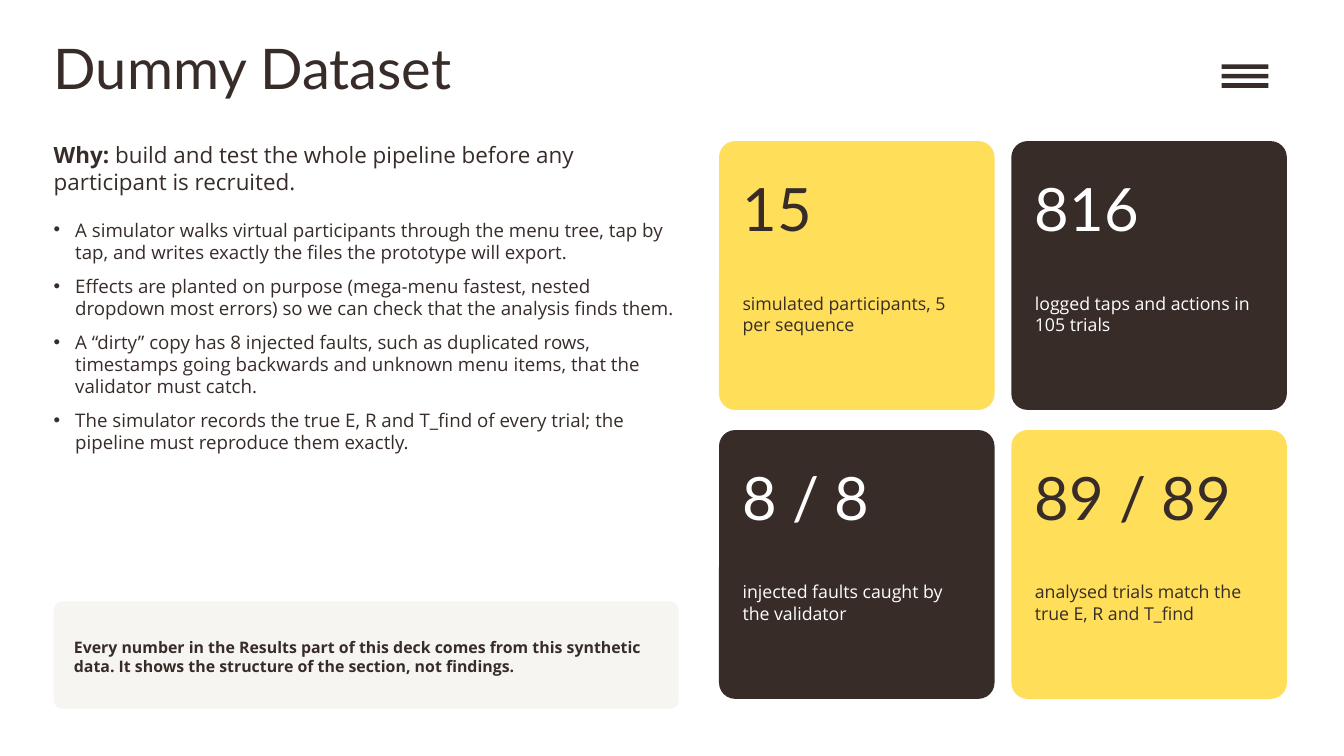
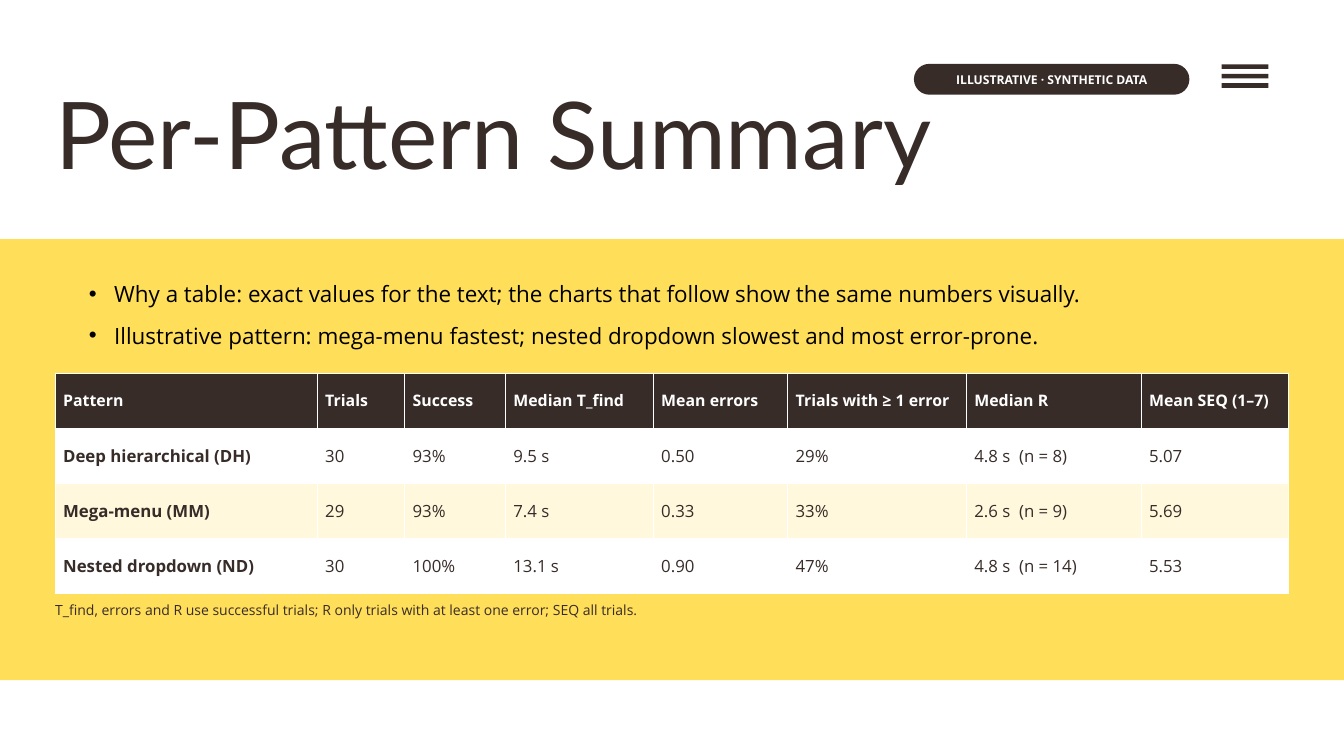
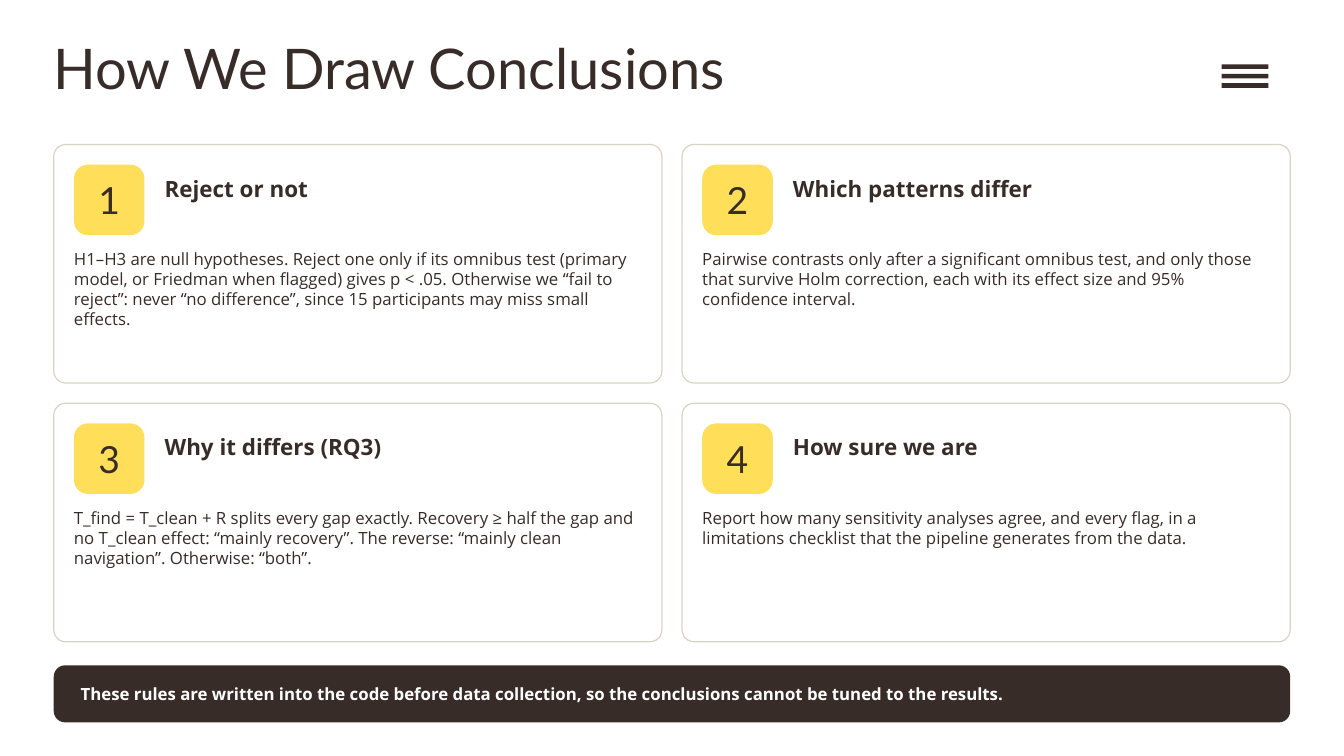
from dataclasses import dataclass
from typing import NamedTuple

from lxml.etree import SubElement
from pptx import Presentation
from pptx.dml.color import RGBColor
from pptx.enum.shapes import MSO_SHAPE
from pptx.enum.text import MSO_ANCHOR, MSO_AUTO_SIZE, PP_ALIGN
from pptx.oxml.ns import qn
from pptx.util import Pt

COLORS = {
    "ink": "382C29",
    "yellow": "FFDE59",
    "cream": "FFF8DD",
    "note": "F7F5F1",
    "outline": "D9D2C5",
    "white": "FFFFFF",
    "black": "000000",
}
HEADING_FONT = "Lato"
BODY_FONT = "Open Sans"
PAGE_WIDTH, PAGE_HEIGHT = 1440, 810
MARGIN = 57.6


class Area(NamedTuple):
    left: float
    top: float
    width: float
    height: float

    def points(self) -> list:
        return [Pt(value) for value in self]

    def inner(self, left: float, top: float, width: float, height: float) -> "Area":
        """Area placed relative to this one's top left corner."""
        return Area(self.left + left, self.top + top, width, height)

    def grid_cell(self, index: int, gap_x: float, gap_y: float) -> "Area":
        """Cell of a two-column grid whose first cell is this area."""
        row, column = divmod(index, 2)
        return self.inner(column * (self.width + gap_x), row * (self.height + gap_y),
                          self.width, self.height)


@dataclass(frozen=True)
class Stat:
    number: str
    label: str
    fill: str
    color: str


@dataclass(frozen=True)
class Rule:
    heading: str
    body: str


STATS = [
    Stat("15", "simulated participants, 5 per sequence", "yellow", "ink"),
    Stat("816", "logged taps and actions in 105 trials", "ink", "white"),
    Stat("8 / 8", "injected faults caught by the validator", "ink", "white"),
    Stat("89 / 89", "analysed trials match the true E, R and T_find", "yellow", "ink"),
]

SIMULATOR_POINTS = [
    "A simulator walks virtual participants through the menu tree, tap by tap, "
    "and writes exactly the files the prototype will export.",
    "Effects are planted on purpose (mega-menu fastest, nested dropdown most errors) "
    "so we can check that the analysis finds them.",
    "A “dirty” copy has 8 injected faults, such as duplicated rows, timestamps going "
    "backwards and unknown menu items, that the validator must catch.",
    "The simulator records the true E, R and T_find of every trial; "
    "the pipeline must reproduce them exactly.",
]

SUMMARY_POINTS = [
    "Why a table: exact values for the text; the charts that follow show the same "
    "numbers visually.",
    "Illustrative pattern: mega-menu fastest; nested dropdown slowest and most error-prone.",
]

SUMMARY_WIDTHS = [280.8, 93.6, 108, 158.4, 144, 191.52, 187.2, 158.4]
SUMMARY_ROWS = [
    ["Pattern", "Trials", "Success", "Median T_find", "Mean errors",
     "Trials with ≥ 1 error", "Median R", "Mean SEQ (1–7)"],
    ["Deep hierarchical (DH)", "30", "93%", "9.5 s", "0.50", "29%", "4.8 s  (n = 8)", "5.07"],
    ["Mega-menu (MM)", "29", "93%", "7.4 s", "0.33", "33%", "2.6 s  (n = 9)", "5.69"],
    ["Nested dropdown (ND)", "30", "100%", "13.1 s", "0.90", "47%", "4.8 s  (n = 14)", "5.53"],
]

RULES = [
    Rule("Reject or not",
         "H1–H3 are null hypotheses. Reject one only if its omnibus test (primary model, or "
         "Friedman when flagged) gives p < .05. Otherwise we “fail to reject”: never “no "
         "difference”, since 15 participants may miss small effects."),
    Rule("Which patterns differ",
         "Pairwise contrasts only after a significant omnibus test, and only those that survive "
         "Holm correction, each with its effect size and 95% confidence interval."),
    Rule("Why it differs (RQ3)",
         "T_find = T_clean + R splits every gap exactly. Recovery ≥ half the gap and no T_clean "
         "effect: “mainly recovery”. The reverse: “mainly clean navigation”. Otherwise: “both”."),
    Rule("How sure we are",
         "Report how many sensitivity analyses agree, and every flag, in a limitations checklist "
         "that the pipeline generates from the data."),
]


# Shared drawing functions

def rgb(name: str) -> RGBColor:
    return RGBColor.from_string(COLORS[name])


def add_bullet(para, left: float, hanging: float) -> None:
    properties = para._p.get_or_add_pPr()
    properties.set("marL", str(Pt(left)))
    properties.set("indent", str(-Pt(hanging)))
    SubElement(properties, qn("a:buFont"), typeface="Arial")
    SubElement(properties, qn("a:buChar"), char="•")


def write_text(frame, *texts: str, size: float, color: str = "ink", font: str = BODY_FONT,
               bold: bool = False, lead: str = "", align=PP_ALIGN.LEFT, after: float = 6,
               line: float | None = None, bullet: tuple[float, float] | None = None) -> None:
    """Write one paragraph per text; lead is a bold opening of the first."""
    for index, text in enumerate(texts):
        para = frame.paragraphs[0] if index == 0 else frame.add_paragraph()
        if bullet:
            add_bullet(para, *bullet)
        para.alignment = align
        para.space_before = Pt(0)
        para.space_after = Pt(after)
        if line:
            para.line_spacing = Pt(line)
        spans = [(text, bold)]
        if lead and index == 0:
            spans.insert(0, (lead, True))
        for words, is_bold in spans:
            span = para.add_run()
            span.text = words
            span.font.name = font
            span.font.size = Pt(size)
            span.font.bold = is_bold
            span.font.color.rgb = rgb(color)


def prepare_frame(frame, anchor=MSO_ANCHOR.TOP, side: float = 0, end: float = 0) -> None:
    frame.word_wrap = True
    frame.auto_size = MSO_AUTO_SIZE.NONE
    frame.vertical_anchor = anchor
    frame.margin_left = frame.margin_right = Pt(side)
    frame.margin_top = frame.margin_bottom = Pt(end)


def add_text(page, area: Area, *texts: str, anchor=MSO_ANCHOR.TOP, **text_format) -> None:
    box = page.shapes.add_textbox(*area.points())
    prepare_frame(box.text_frame, anchor)
    write_text(box.text_frame, *texts, **text_format)


def add_block(page, area: Area, fill: str, corner: float = 0, outline: str | None = None):
    kind = MSO_SHAPE.ROUNDED_RECTANGLE if corner else MSO_SHAPE.RECTANGLE
    block = page.shapes.add_shape(kind, *area.points())
    if corner:
        block.adjustments[0] = corner
    block.shadow.inherit = False
    block.fill.solid()
    block.fill.fore_color.rgb = rgb(fill)
    if outline:
        block.line.color.rgb = rgb(outline)
        block.line.width = Pt(1.25)
    else:
        block.line.fill.background()
    return block


def add_label(page, area: Area, text: str, fill: str, corner: float, side: float = 0,
              **text_format) -> None:
    """Rounded block with its text in the middle."""
    frame = add_block(page, area, fill, corner).text_frame
    prepare_frame(frame, MSO_ANCHOR.MIDDLE, side, 4.32)
    write_text(frame, text, align=PP_ALIGN.CENTER, after=2, **text_format)


def add_page(deck, title: str, area: Area = Area(MARGIN, 36, 1188, 97.2),
             size: float = 60, line: float | None = None):
    """Title-only slide with the menu icon in the top right corner."""
    page = deck.slides.add_slide(deck.slide_layouts[5])
    heading = page.shapes.title
    heading.left, heading.top, heading.width, heading.height = area.points()
    prepare_frame(heading.text_frame)
    write_text(heading.text_frame, title, size=size, font=HEADING_FONT, after=0, line=line)
    for index in range(3):
        add_block(page, Area(1309, 69 + 10.1 * index, 50, 5), "ink")
    return page


def add_borders(cell, color: str, width: float) -> None:
    properties = cell._tc.get_or_add_tcPr()
    for index, side in enumerate(("a:lnL", "a:lnR", "a:lnT", "a:lnB")):
        border = properties.makeelement(qn(side), {"w": str(Pt(width))})
        fill = SubElement(border, qn("a:solidFill"))
        SubElement(fill, qn("a:srgbClr"), val=COLORS[color])
        properties.insert(index, border)


def add_summary_table(page, left: float, top: float, row_height: float) -> None:
    area = Area(left, top, sum(SUMMARY_WIDTHS), row_height * len(SUMMARY_ROWS))
    table = page.shapes.add_table(len(SUMMARY_ROWS), len(SUMMARY_WIDTHS), *area.points()).table
    for column, width in zip(table.columns, SUMMARY_WIDTHS):
        column.width = Pt(width)
    for row_index, values in enumerate(SUMMARY_ROWS):
        table.rows[row_index].height = Pt(row_height)
        is_header = row_index == 0
        fill = "ink" if is_header else ("cream" if row_index % 2 == 0 else "white")
        for column_index, value in enumerate(values):
            cell = table.cell(row_index, column_index)
            cell.fill.solid()
            cell.fill.fore_color.rgb = rgb(fill)
            cell.vertical_anchor = MSO_ANCHOR.MIDDLE
            cell.margin_left = cell.margin_right = Pt(8.64)
            cell.margin_top = cell.margin_bottom = Pt(3.6)
            write_text(cell.text_frame, value, size=17 if is_header else 18, after=0,
                       color="white" if is_header else "ink",
                       bold=is_header or column_index == 0)
            add_borders(cell, "white", 1)


# Slides

def build_dataset_page(deck) -> None:
    page = add_page(deck, "Dummy Dataset")
    add_text(page, Area(MARGIN, 151.2, 669.6, 72),
             "build and test the whole pipeline before any participant is recruited.",
             lead="Why: ", size=24)
    add_text(page, Area(MARGIN, 234, 669.6, 396), *SIMULATOR_POINTS,
             size=20, after=12, bullet=(23.04, 23.04))

    note = Area(MARGIN, 644.4, 669.6, 115.2)
    add_block(page, note, "note", 0.08)
    add_text(page, note.inner(21.6, 10.8, 633.6, 97.2),
             "Every number in the Results part of this deck comes from this synthetic data. "
             "It shows the structure of the section, not findings.",
             size=17, bold=True, anchor=MSO_ANCHOR.MIDDLE)

    first_card = Area(770.4, 151.2, 295.2, 288)
    for index, stat in enumerate(STATS):
        card = first_card.grid_cell(index, 18, 21.6)
        add_block(page, card, stat.fill, 0.06)
        add_text(page, card.inner(25.2, 32.4, 252, 115.2), stat.number,
                 size=64, font=HEADING_FONT, color=stat.color)
        add_text(page, card.inner(25.2, 162, 244.8, 108), stat.label,
                 size=19, color=stat.color)


def build_summary_page(deck) -> None:
    left = 59.04
    page = add_page(deck, "Per-Pattern Summary", Area(left, 81.36, 975.6, 119.52),
                    size=100, line=120)
    add_block(page, Area(0, 256.2, PAGE_WIDTH, 472.6), "yellow")
    add_text(page, Area(68.4, 284.4, 1241.28, 93.6), *SUMMARY_POINTS,
             size=24, color="black", after=0, line=44.6, bullet=(54, 27))
    add_summary_table(page, left, 399.6, 59.04)
    add_text(page, Area(left, 644.4, 936, 36),
             "T_find, errors and R use successful trials; R only trials with at least one "
             "error; SEQ all trials.", size=15)
    add_label(page, Area(979.2, 68.4, 295.2, 33.12), "ILLUSTRATIVE · SYNTHETIC DATA",
              "ink", 0.5, side=10.8, size=13, color="white", bold=True)


def build_conclusions_page(deck) -> None:
    page = add_page(deck, "How We Draw Conclusions")
    first_card = Area(MARGIN, 154.8, 651.6, 255.6)
    for index, rule in enumerate(RULES):
        card = first_card.grid_cell(index, 21.6, 21.6)
        add_block(page, card, "white", 0.05, outline="outline")
        add_label(page, card.inner(21.6, 21.6, 75.6, 75.6), str(index + 1),
                  "yellow", 0.2, size=40, font=HEADING_FONT)
        add_text(page, card.inner(118.8, 32.4, 511.2, 50.4), rule.heading, size=24, bold=True)
        add_text(page, card.inner(21.6, 111.6, 608.4, 140.4), rule.body, size=18)

    banner = Area(MARGIN, 712.8, PAGE_WIDTH - 2 * MARGIN, 61.2)
    add_block(page, banner, "ink", 0.2)
    add_text(page, banner.inner(28.8, 0, 1267.2, banner.height),
             "These rules are written into the code before data collection, "
             "so the conclusions cannot be tuned to the results.",
             size=18, color="white", bold=True, anchor=MSO_ANCHOR.MIDDLE)


def main() -> None:
    deck = Presentation()
    deck.slide_width, deck.slide_height = Pt(PAGE_WIDTH), Pt(PAGE_HEIGHT)
    build_dataset_page(deck)
    build_summary_page(deck)
    build_conclusions_page(deck)
    deck.save("out.pptx")


if __name__ == "__main__":
    main()
